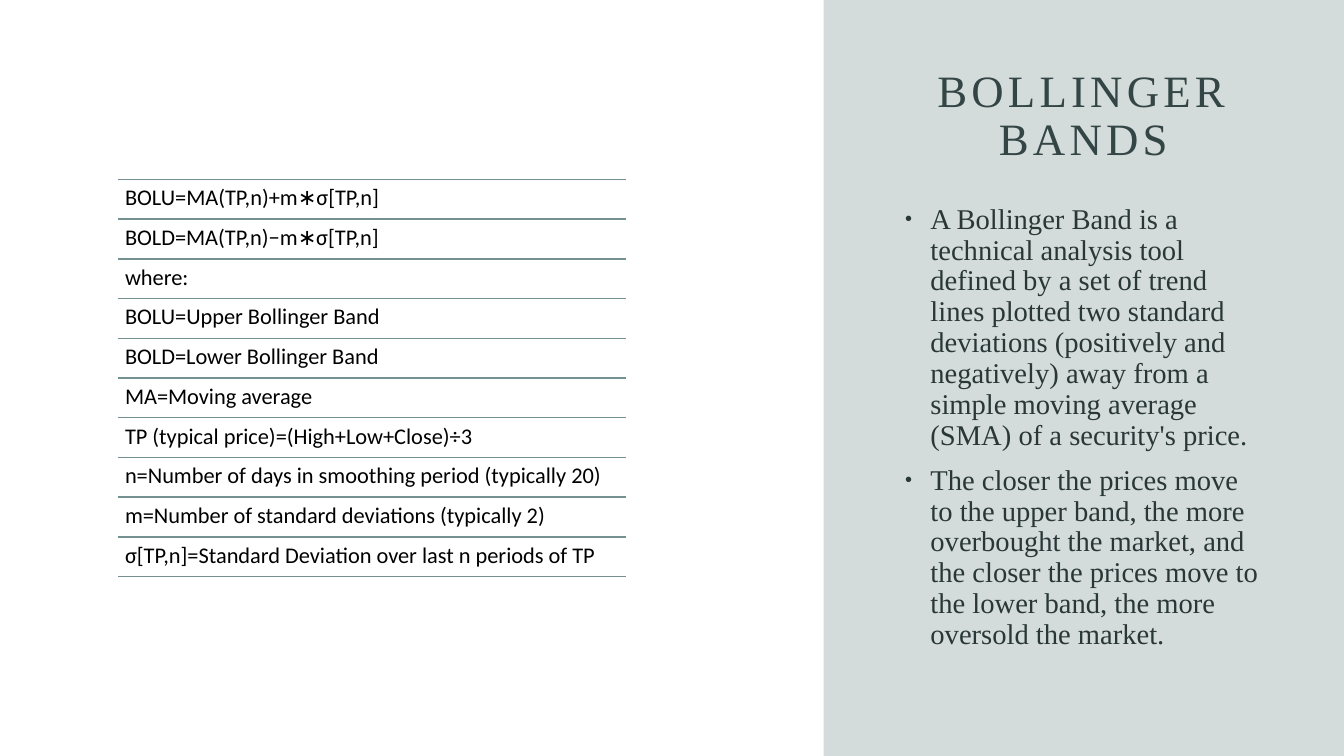
from dataclasses import dataclass

from lxml.etree import SubElement
from pptx import Presentation
from pptx.dml.color import RGBColor
from pptx.enum.shapes import MSO_CONNECTOR, MSO_SHAPE
from pptx.enum.text import MSO_ANCHOR, PP_ALIGN
from pptx.oxml.ns import qn
from pptx.slide import Slide
from pptx.text.text import TextFrame, _Paragraph
from pptx.util import Inches, Pt

PANEL = RGBColor(0x55, 0x72, 0x72)
DARK = RGBColor(0x29, 0x37, 0x37)
RULE = RGBColor(0x74, 0x90, 0x90)
BLACK = RGBColor(0, 0, 0)
SERIF, SANS = "Times New Roman", "Calibri"


@dataclass
class TextStyle:
    font: str
    size: float
    color: RGBColor


TITLE = TextStyle(SERIF, 32, DARK)
BODY = TextStyle(SERIF, 20.4, DARK)
FORMULA = TextStyle(SANS, 16, BLACK)

LIST_LEFT, LIST_TOP, LIST_WIDTH = 1.17, 1.78, 5.04
ROW_HEIGHT = 3.94 / 10

FORMULAS = [
    "BOLU=MA(TP,n)+m∗σ[TP,n]",
    "BOLD=MA(TP,n)−m∗σ[TP,n]",
    "where:",
    "BOLU=Upper Bollinger Band",
    "BOLD=Lower Bollinger Band",
    "MA=Moving average",
    "TP (typical price)=(High+Low+Close)÷3",
    "n=Number of days in smoothing period (typically 20)",
    "m=Number of standard deviations (typically 2)",
    "σ[TP,n]=Standard Deviation over last n periods of TP",
]
POINTS = [
    "A Bollinger Band is a technical analysis tool defined by a set of trend lines "
    "plotted two standard deviations (positively and negatively) away from "
    "a simple moving average (SMA) of a security's price.",
    "The closer the prices move to the upper band, the more overbought the market, "
    "and the closer the prices move to the lower band, the more oversold the market.",
]


def style_paragraph(p: _Paragraph, style: TextStyle) -> None:
    p.line_spacing = 0.9
    for r in p.runs:
        r.font.name = style.font
        r.font.size = Pt(style.size)
        r.font.color.rgb = style.color


def add_text(s: Slide, left: float, top: float, width: float, height: float) -> TextFrame:
    tf = s.shapes.add_textbox(*map(Inches, (left, top, width, height))).text_frame
    tf.word_wrap = True
    return tf


def add_bullet(p: _Paragraph) -> None:
    pPr = p._p.get_or_add_pPr()
    pPr.set("marL", str(Inches(0.25)))
    pPr.set("indent", str(-Inches(0.25)))
    SubElement(pPr, qn("a:buSzPct"), val="70000")
    SubElement(pPr, qn("a:buFont"), typeface="Arial")
    SubElement(pPr, qn("a:buChar"), char="•")


def add_panel(s: Slide) -> None:
    sp = s.shapes.add_shape(MSO_SHAPE.RECTANGLE, *map(Inches, (8.17, 0, 5.16, 7.5)))
    sp.shadow.inherit = False
    sp.line.fill.background()
    sp.fill.solid()
    sp.fill.fore_color.rgb = PANEL
    color = sp._element.spPr.find(f"{qn('a:solidFill')}/{qn('a:srgbClr')}")
    SubElement(color, qn("a:alpha"), val="25000")


def format_title(s: Slide) -> None:
    title = s.shapes.title
    title.left, title.top, title.width, title.height = map(Inches, (8.89, 0.26, 3.71, 1.43))
    tf = title.text_frame
    tf.text = "BOLLINGER BANDS"
    tf.word_wrap = True
    tf.vertical_anchor = MSO_ANCHOR.BOTTOM
    p = tf.paragraphs[0]
    p.alignment = PP_ALIGN.CENTER
    style_paragraph(p, TITLE)
    p.runs[0].font._element.set("spc", "300")


def add_points(s: Slide) -> None:
    tf = add_text(s, 8.88, 1.98, 3.71, 4.92)
    tf.text = "\n".join(POINTS)
    for p in tf.paragraphs:
        style_paragraph(p, BODY)
        p.space_before = Pt(10)
        add_bullet(p)


def add_rule(s: Slide, y: float) -> None:
    line = s.shapes.add_connector(
        MSO_CONNECTOR.STRAIGHT,
        *map(Inches, (LIST_LEFT, y, LIST_LEFT + LIST_WIDTH, y)),
    )
    line.line.color.rgb = RULE
    line.line.width = Pt(1)
    SubElement(line._element.spPr, qn("a:effectLst"))


def add_formula(s: Slide, text: str, y: float) -> None:
    tf = add_text(s, LIST_LEFT, y, LIST_WIDTH, ROW_HEIGHT)
    tf.margin_left = tf.margin_right = tf.margin_top = tf.margin_bottom = Inches(0.07)
    tf.text = text
    style_paragraph(tf.paragraphs[0], FORMULA)


def main() -> None:
    prs = Presentation()
    prs.slide_width, prs.slide_height = Inches(13.33), Inches(7.5)
    s = prs.slides.add_slide(prs.slide_layouts[5])
    add_panel(s)
    format_title(s)
    add_points(s)
    for i, formula in enumerate(FORMULAS):
        y = LIST_TOP + i * ROW_HEIGHT
        add_rule(s, y)
        add_formula(s, formula, y)
    add_rule(s, LIST_TOP + len(FORMULAS) * ROW_HEIGHT)
    prs.save("out.pptx")


if __name__ == "__main__":
    main()
